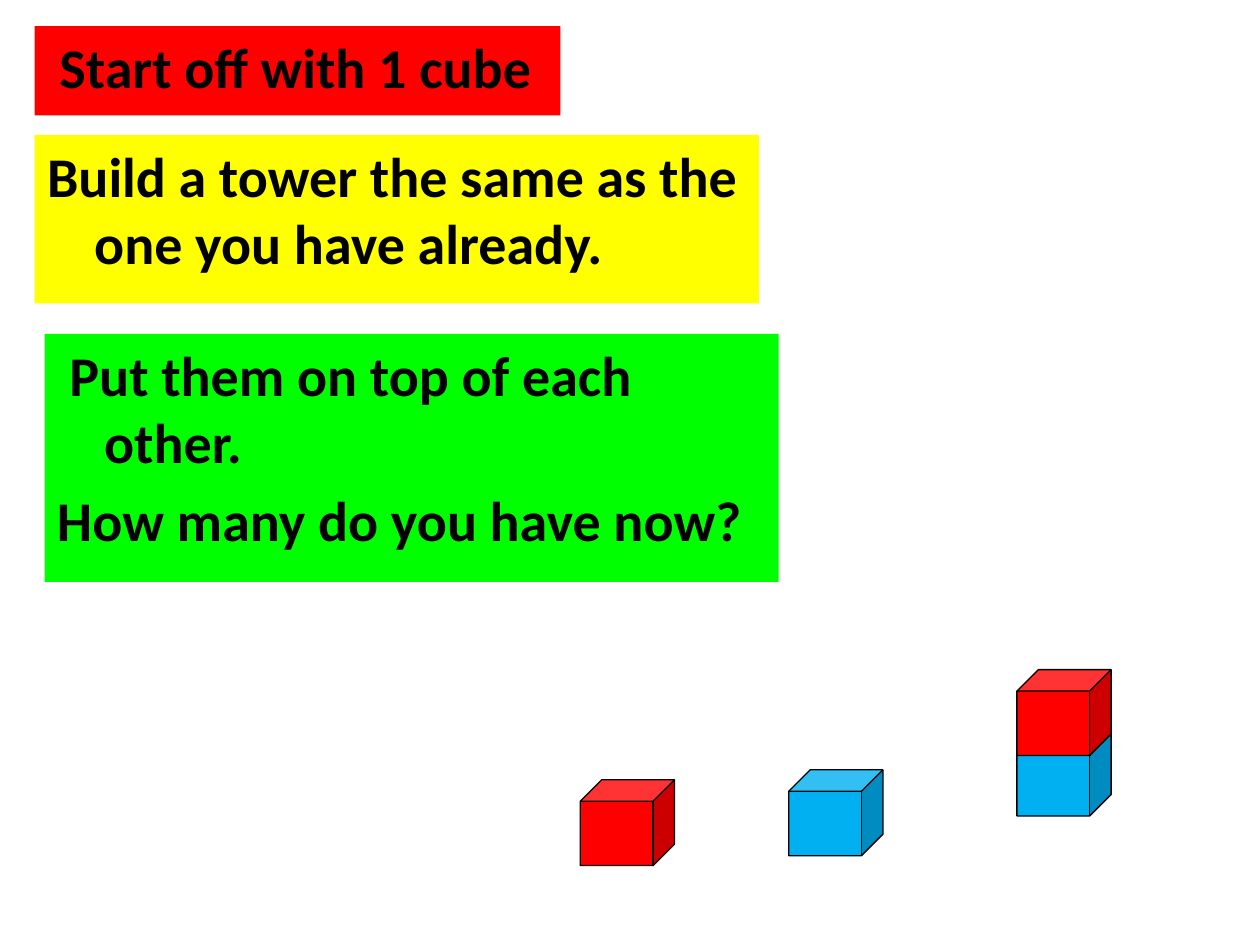
from pptx import Presentation
from pptx import util as u
from pptx.dml import color
from pptx.enum import shapes, text

COLOURS = {
    "red": "FF0000",
    "yellow": "FFFF00",
    "green": "00FF00",
    "blue": "00B0F0",
    "black": "000000",
}
HANGING = 0.95
SPACE = 0.25
CUBE_WIDTH, CUBE_HEIGHT = 1.9, 1.73
STACK_STEP = 1.22


def rgb(name):
    return color.RGBColor.from_string(COLOURS[name])


def add_filled_shape(slide, kind, box, fill):
    shape = slide.shapes.add_shape(kind, *(u.Cm(length) for length in box))
    shape.shadow.inherit = False
    shape.fill.solid()
    shape.fill.fore_color.rgb = rgb(fill)
    return shape


def add_instruction(slide, box, fill, lines):
    shape = add_filled_shape(slide, shapes.MSO_SHAPE.RECTANGLE, box, fill)
    shape.line.fill.background()
    frame = shape.text_frame
    frame.word_wrap = True
    frame.vertical_anchor = text.MSO_ANCHOR.TOP
    for index, (wording, first_offset) in enumerate(lines):
        paragraph = frame.add_paragraph() if index else frame.paragraphs[0]
        paragraph.text = wording
        paragraph.alignment = text.PP_ALIGN.LEFT
        if index:
            paragraph.space_before = u.Pt(6.4)
        properties = paragraph._p.get_or_add_pPr()
        properties.set("marL", str(u.Cm(HANGING)))
        properties.set("indent", str(u.Cm(first_offset - HANGING)))
        paragraph.font.name = "Calibri"
        paragraph.font.size = u.Pt(32)
        paragraph.font.bold = True
        paragraph.font.color.rgb = rgb("black")


def add_tower(slide, left, bottom, fills):
    for level, fill in enumerate(fills):
        top = bottom - CUBE_HEIGHT - level * STACK_STEP
        box = (left, top, CUBE_WIDTH, CUBE_HEIGHT)
        cube = add_filled_shape(slide, shapes.MSO_SHAPE.CUBE, box, fill)
        cube.line.color.rgb = rgb("black")
        cube.line.width = u.Pt(0.75)


def main():
    presentation = Presentation()
    presentation.slide_width = u.Cm(25.4)
    presentation.slide_height = u.Cm(19.05)
    slide = presentation.slides.add_slide(presentation.slide_layouts[6])

    add_instruction(slide, (0.7, 0.53, 10.6, 1.8), "red",
                    [("Start off with 1 cube", SPACE)])
    add_instruction(slide, (0.7, 2.72, 14.6, 3.4), "yellow",
                    [("Build a tower the same as the one you have already.", 0)])
    add_instruction(slide, (0.9, 6.73, 14.8, 5), "green",
                    [("Put them on top of each other.", SPACE),
                     ("How many do you have now?", 0)])

    add_tower(slide, 11.7, 17.45, ["red"])
    add_tower(slide, 15.9, 17.25, ["blue"])
    add_tower(slide, 20.5, 16.45, ["blue", "red"])

    presentation.save("out.pptx")


if __name__ == "__main__":
    main()
